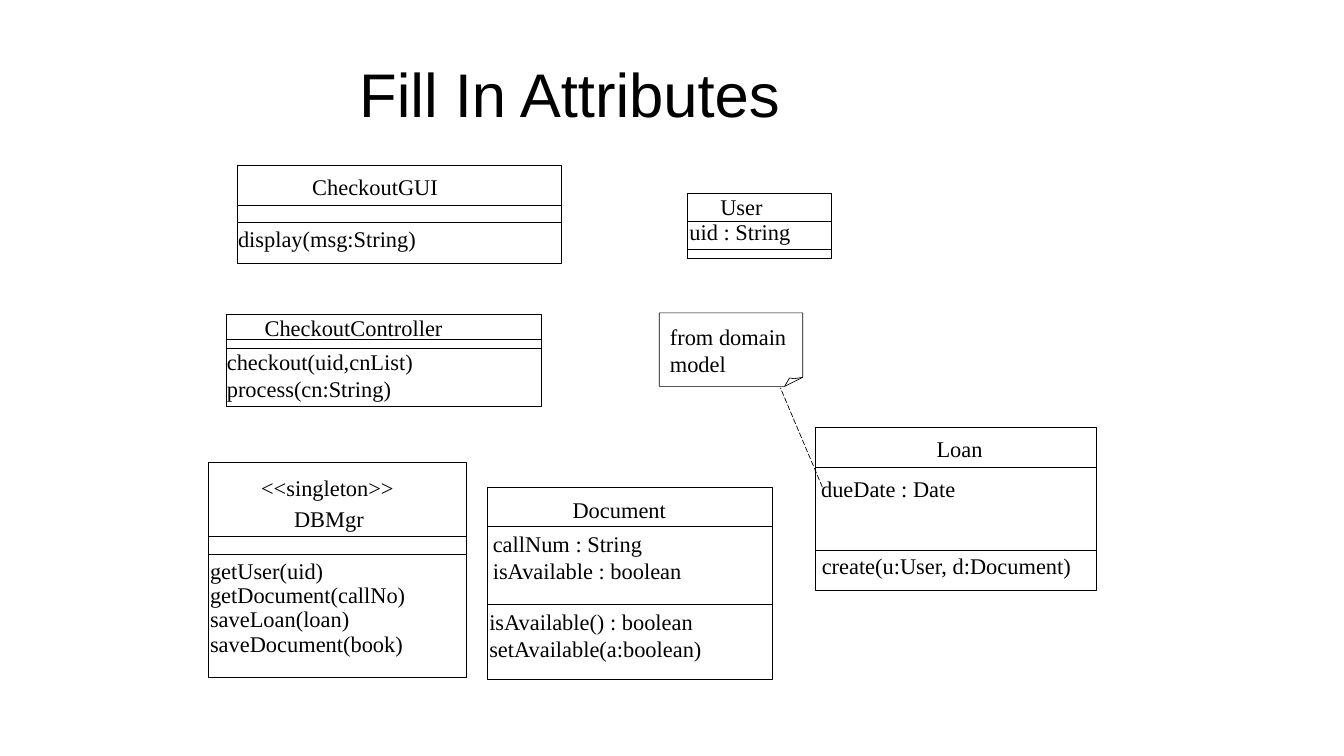
from dataclasses import dataclass

from lxml.etree import SubElement
from pptx import Presentation
from pptx.dml.color import RGBColor
from pptx.enum.dml import MSO_LINE_DASH_STYLE as Dash
from pptx.enum.shapes import MSO_CONNECTOR as Connector, MSO_SHAPE as Shape
from pptx.enum.text import MSO_ANCHOR as Anchor, MSO_AUTO_SIZE as AutoSize, PP_ALIGN as Align
from pptx.oxml.ns import qn
from pptx.util import Pt

COLORS = {"ink": "000000"}
INK = RGBColor.from_string(COLORS["ink"])
LABEL_FONT = {"name": "Times New Roman", "size": Pt(32)}
TITLE_FONT = {"name": "Arial", "size": Pt(88)}
INSETS = {f"margin_{side}": Pt(7.2) for side in ("left", "top", "right", "bottom")}
LABEL_FRAME = INSETS | {"auto_size": AutoSize.SHAPE_TO_FIT_TEXT}
TITLE_FRAME = INSETS | {"auto_size": AutoSize.NONE, "vertical_anchor": Anchor.MIDDLE,
                        "word_wrap": True}
LINE_HEIGHT = 36.5


@dataclass
class Label:
    left: float
    top: float
    width: float
    lines: tuple[str, ...]
    wrap: bool = False
    spacing: float | None = None


@dataclass
class ClassBox:
    """A UML class: its frame, the heights of its two dividers, and its texts."""
    left: float
    top: float
    width: float
    height: float
    dividers: tuple[float, float]
    labels: tuple[Label, ...]


CLASSES = (
    ClassBox(339, 236, 463, 140, (294, 317), (
        Label(439, 240, 195, ("CheckoutGUI",)),
        Label(333, 315, 269, ("display(msg:String)",)))),
    ClassBox(982, 276, 206, 93, (316, 356), (
        Label(1022, 269, 76, ("User",)),
        Label(978, 305, 212, ("uid : String",), wrap=True))),
    ClassBox(324, 449, 449, 132, (485, 497), (
        Label(371, 441, 269, ("CheckoutController",)),
        Label(317, 490, 281, ("checkout(uid,cnList)", "process(cn:String)")))),
    ClassBox(297, 660, 369, 308, (766, 792), (
        Label(366, 670, 205, ("<<singleton>>",)),
        Label(413, 714, 115, ("DBMgr",)),
        Label(293, 793, 294, ("getUser(uid)", "getDocument(callNo)", "saveLoan(loan)",
                              "saveDocument(book)"), spacing=0.9))),
    ClassBox(696, 696, 408, 274, (752, 863), (
        Label(811, 701, 149, ("Document",)),
        Label(697, 750, 394, ("callNum : String", "isAvailable : boolean"), wrap=True),
        Label(692, 862, 410, ("isAvailable() : boolean", "setAvailable(a:boolean)"),
              wrap=True))),
    ClassBox(1165, 610, 402, 233, (668, 786), (
        Label(1331, 614, 81, ("Loan",)),
        Label(1166, 672, 207, ("dueDate : Date",)),
        Label(1167, 781, 495, ("create(u:User, d:Document)",), wrap=True))),
)
NOTE_OUTLINE = ((942, 447), (942, 552), (1121, 552), (1147, 539), (1147, 447))
NOTE_FOLD = ((1121, 552), (1128, 540), (1135, 541), (1147, 539))
NOTE_LABEL = Label(950, 454, 197, ("from domain model",), wrap=True)


def apply(target, values: dict) -> None:
    for name, value in values.items():
        setattr(target, name, value)


def write(para, text: str, font: dict) -> None:
    span = para.add_run()
    span.text = text
    apply(span.font, font)
    span.font.color.rgb = INK


def outline(shape) -> None:
    """Leave the shape unfilled, with a thin line and no shadow."""
    shape.shadow.inherit = False
    shape.fill.background()
    shape.line.color.rgb = INK
    shape.line.width = Pt(1)


def add_line(shapes, start: tuple, end: tuple):
    line = shapes.add_connector(Connector.STRAIGHT, *map(Pt, start + end))
    line.line.color.rgb = INK
    line.line.width = Pt(1)
    SubElement(line._element.spPr, qn("a:effectLst"))
    return line


def add_label(shapes, label: Label) -> None:
    height = 14.4 + LINE_HEIGHT * len(label.lines) * (label.spacing or 1)
    box = shapes.add_textbox(Pt(label.left), Pt(label.top), Pt(label.width), Pt(height))
    frame = box.text_frame
    apply(frame, LABEL_FRAME | {"word_wrap": label.wrap})
    for index, text in enumerate(label.lines):
        para = frame.add_paragraph() if index else frame.paragraphs[0]
        if label.spacing:
            para.line_spacing = label.spacing
        write(para, text, LABEL_FONT)


def add_class(shapes, item: ClassBox) -> None:
    parts = shapes.add_group_shape().shapes
    outline(parts.add_shape(Shape.RECTANGLE, Pt(item.left), Pt(item.top),
                            Pt(item.width), Pt(item.height)))
    for height in item.dividers:
        add_line(parts, (item.left, height), (item.left + item.width, height))
    for label in item.labels:
        add_label(shapes, label)


def add_outline(shapes, points: tuple, close: bool) -> None:
    builder = shapes.build_freeform(*points[0], scale=Pt(1))
    builder.add_line_segments(points[1:], close=close)
    outline(builder.convert_to_shape())


def add_title(page, text: str) -> None:
    title = page.shapes.title
    apply(title, {"left": Pt(506), "top": Pt(43), "width": Pt(1102), "height": Pt(180)})
    apply(title.text_frame, TITLE_FRAME)
    para = title.text_frame.paragraphs[0]
    para.alignment = Align.LEFT
    write(para, text, TITLE_FONT)


def main() -> None:
    deck = Presentation()
    deck.slide_width, deck.slide_height = Pt(1920.24), Pt(1080)
    page = deck.slides.add_slide(deck.slide_layouts[5])
    add_title(page, "Fill In Attributes")
    for item in CLASSES:
        add_class(page.shapes, item)
    note = page.shapes.add_group_shape().shapes
    add_outline(note, NOTE_OUTLINE, close=True)
    add_outline(note, NOTE_FOLD, close=False)
    add_label(page.shapes, NOTE_LABEL)
    note_link = add_line(page.shapes, (1175, 696), (1115, 554))
    note_link.line.dash_style = Dash.LONG_DASH
    deck.save("out.pptx")


if __name__ == "__main__":
    main()
